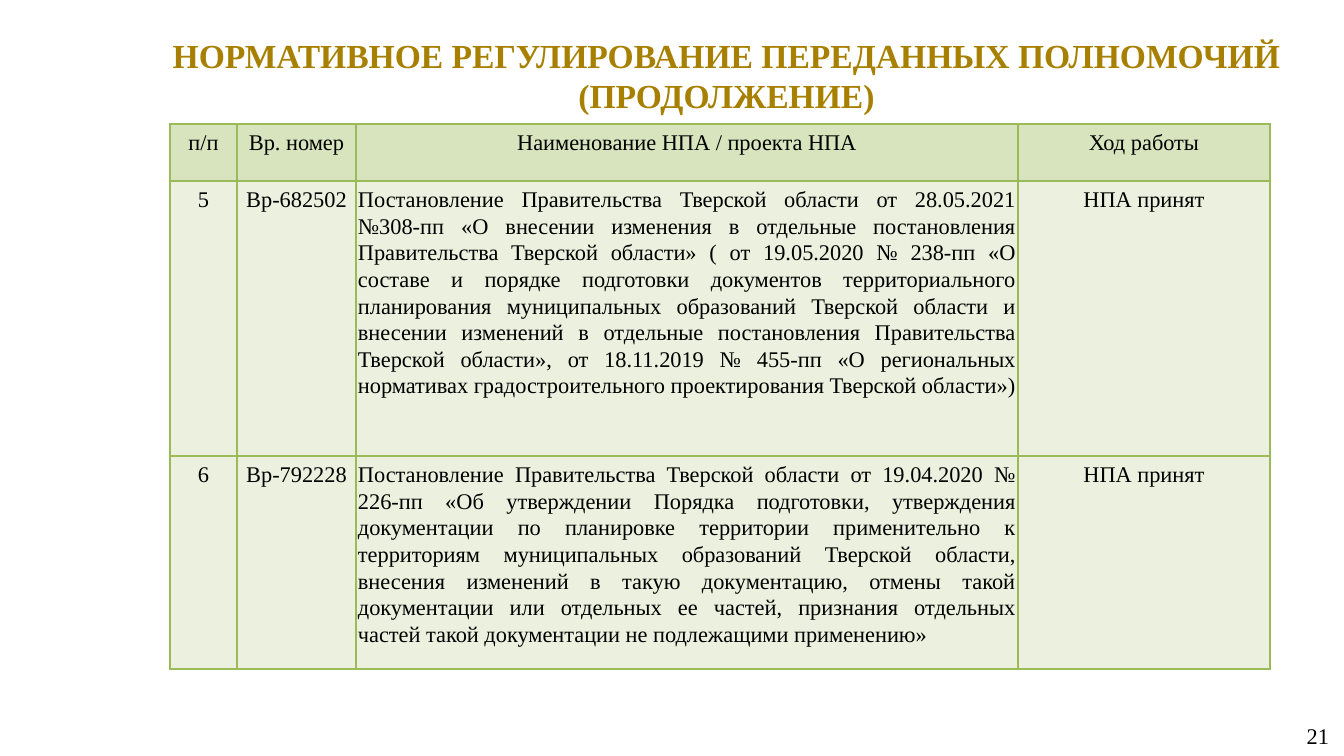
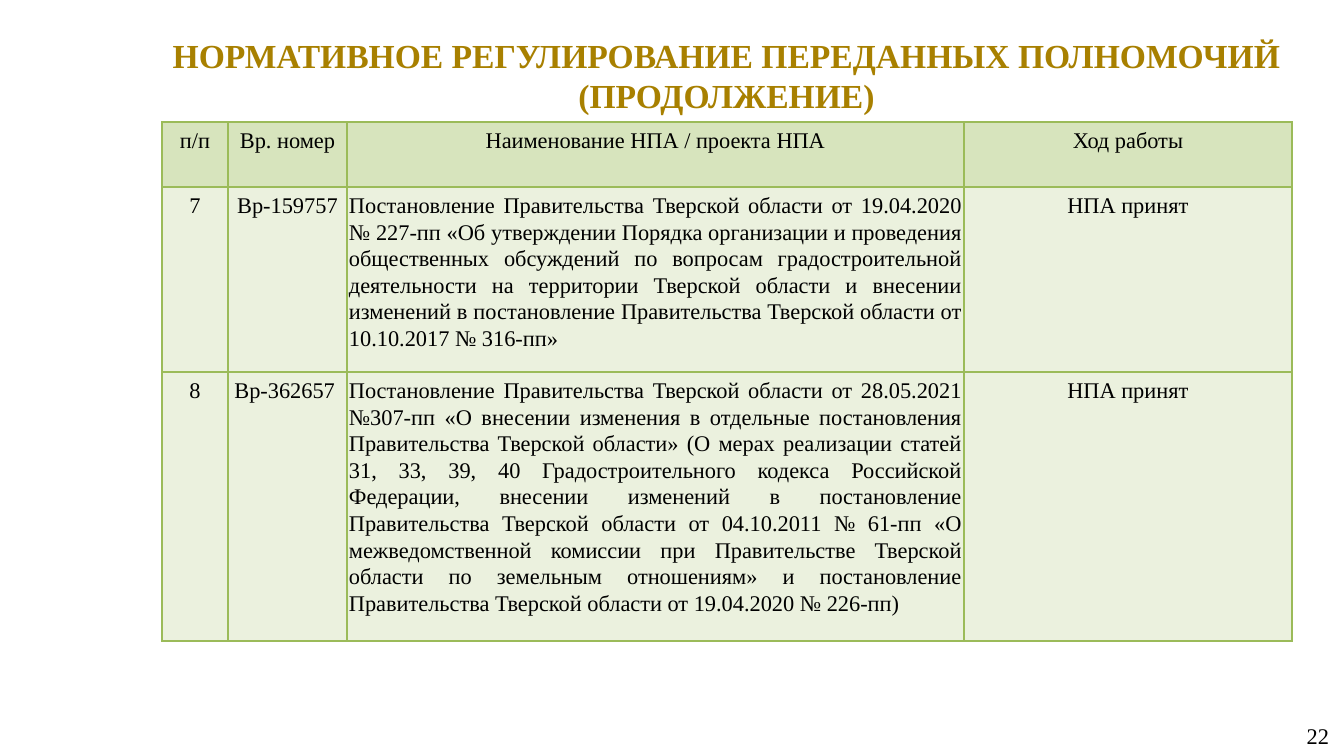
import pptx
import pptx.dml.color
import pptx.enum.text
import pptx.oxml
import pptx.oxml.ns
import pptx.util

EMU_PER_PX = 914400 / 100.8
FONT = "Times New Roman"
GOLD, BLACK = "A88000", "000000"
HEADER_FILL, BODY_FILL, BORDER = "D7E4BD", "EBF1DE", "9BBB59"
BORDER_PT = 0.96
ALIGN = pptx.enum.text.PP_ALIGN
ANCHOR = pptx.enum.text.MSO_ANCHOR

TITLE = "НОРМАТИВНОЕ РЕГУЛИРОВАНИЕ ПЕРЕДАННЫХ ПОЛНОМОЧИЙ (ПРОДОЛЖЕНИЕ)"
HEADER = ("п/п", "Вр. номер", "Наименование НПА / проекта НПА", "Ход работы")
ADOPTED = "НПА принят"

SLIDES = [
    dict(
        number="21", left=170, top=124,
        widths=(67, 119, 662, 252), heights=(57, 275, 213),
        rows=[
            ("5", "Вр-682502",
             "Постановление Правительства Тверской области от 28.05.2021 №308-пп "
             "«О внесении изменения в отдельные постановления Правительства "
             "Тверской области» ( от 19.05.2020 № 238-пп «О составе и порядке "
             "подготовки документов территориального планирования муниципальных "
             "образований Тверской области и внесении изменений в отдельные "
             "постановления Правительства Тверской области», от 18.11.2019 № 455-пп "
             "«О региональных нормативах градостроительного проектирования "
             "Тверской области»)", ADOPTED),
            ("6", "Вр-792228",
             "Постановление Правительства Тверской области от 19.04.2020 № 226-пп "
             "«Об утверждении Порядка подготовки, утверждения документации по "
             "планировке территории применительно к территориям муниципальных "
             "образований Тверской области, внесения изменений в такую документацию, "
             "отмены такой документации или отдельных ее частей, признания отдельных "
             "частей такой документации не подлежащими применению»", ADOPTED),
        ],
    ),
    dict(
        number="22", left=162, top=122,
        widths=(66, 119, 617, 328), heights=(65, 185, 269),
        rows=[
            ("7", "Вр-159757",
             "Постановление Правительства Тверской области от 19.04.2020 № 227-пп "
             "«Об утверждении Порядка организации и проведения общественных "
             "обсуждений по вопросам градостроительной деятельности на территории "
             "Тверской области и внесении изменений в постановление Правительства "
             "Тверской области от 10.10.2017 № 316-пп»", ADOPTED),
            ("8", "Вр-362657 ",
             "Постановление Правительства Тверской области от 28.05.2021 №307-пп "
             "«О внесении изменения в отдельные постановления Правительства "
             "Тверской области» (О мерах реализации статей 31, 33, 39, 40 "
             "Градостроительного кодекса Российской Федерации, внесении изменений в "
             "постановление Правительства Тверской области от 04.10.2011 № 61-пп "
             "«О межведомственной комиссии при Правительстве Тверской области по "
             "земельным отношениям» и постановление Правительства Тверской области "
             "от 19.04.2020 № 226-пп)", ADOPTED),
        ],
    ),
]


def px(n):
    return pptx.util.Emu(round(n * EMU_PER_PX))


def rgb(color):
    return pptx.dml.color.RGBColor.from_string(color)


def write(tf, text, size=16, color=BLACK, bold=False, align=ALIGN.CENTER,
          spacing=1.0, after=0):
    p = tf.paragraphs[0]
    p.alignment = align
    p.line_spacing = spacing
    p.space_before = pptx.util.Pt(0)
    p.space_after = pptx.util.Pt(after)
    r = p.add_run()
    r.text = text
    r.font.name = FONT
    r.font.size = pptx.util.Pt(size)
    r.font.bold = bold
    r.font.color.rgb = rgb(color)


def set_margins(target, x, y):
    target.margin_left = target.margin_right = px(x)
    target.margin_top = target.margin_bottom = px(y)


def place_frame(sp, left, top, width, height, anchor):
    sp.left, sp.top, sp.width, sp.height = map(px, (left, top, width, height))
    tf = sp.text_frame
    tf.word_wrap = True
    tf.vertical_anchor = anchor
    set_margins(tf, 13, 7)
    return tf


def add_title(s):
    tf = place_frame(s.shapes.title, 148, 28, 1157, 94, ANCHOR.TOP)
    tf.auto_size = pptx.enum.text.MSO_AUTO_SIZE.SHAPE_TO_FIT_TEXT
    write(tf, TITLE, size=24, color=GOLD, bold=True)


def add_page_number(s, number):
    sp = s.shapes.add_textbox(0, 0, 0, 0)
    tf = place_frame(sp, 1029, 716, 313, 40, ANCHOR.MIDDLE)
    write(tf, number, align=ALIGN.RIGHT)


def set_borders(cell):
    tc_pr = cell._tc.get_or_add_tcPr()
    for i, side in enumerate(("lnL", "lnR", "lnT", "lnB")):
        tc_pr.insert(i, pptx.oxml.parse_xml(
            f'<a:{side} {pptx.oxml.ns.nsdecls("a")} w="{pptx.util.Pt(BORDER_PT)}">'
            f'<a:solidFill><a:srgbClr val="{BORDER}"/></a:solidFill></a:{side}>'))


def format_cell(cell, text, fill, align):
    set_margins(cell, 2, 5)
    write(cell.text_frame, text, align=align, spacing=1.07, after=8)
    cell.fill.solid()
    cell.fill.fore_color.rgb = rgb(fill)
    set_borders(cell)


def add_acts_table(s, left, top, widths, heights, rows):
    table = s.shapes.add_table(
        len(heights), len(widths), px(left), px(top),
        px(sum(widths)), px(sum(heights))).table
    table.first_row = table.horz_banding = False
    for column, width in zip(table.columns, widths):
        column.width = px(width)
    for row, height in zip(table.rows, heights):
        row.height = px(height)
    for i, texts in enumerate([HEADER, *rows]):
        for j, text in enumerate(texts):
            fill = BODY_FILL if i else HEADER_FILL
            align = ALIGN.JUSTIFY if i and j == 2 else ALIGN.CENTER
            format_cell(table.cell(i, j), text, fill, align)


def main():
    prs = pptx.Presentation()
    prs.slide_width, prs.slide_height = px(1344), px(756)
    for content in SLIDES:
        s = prs.slides.add_slide(prs.slide_layouts[5])
        add_title(s)
        add_page_number(s, content["number"])
        add_acts_table(s, content["left"], content["top"], content["widths"],
                       content["heights"], content["rows"])
    prs.save("out.pptx")


main()
